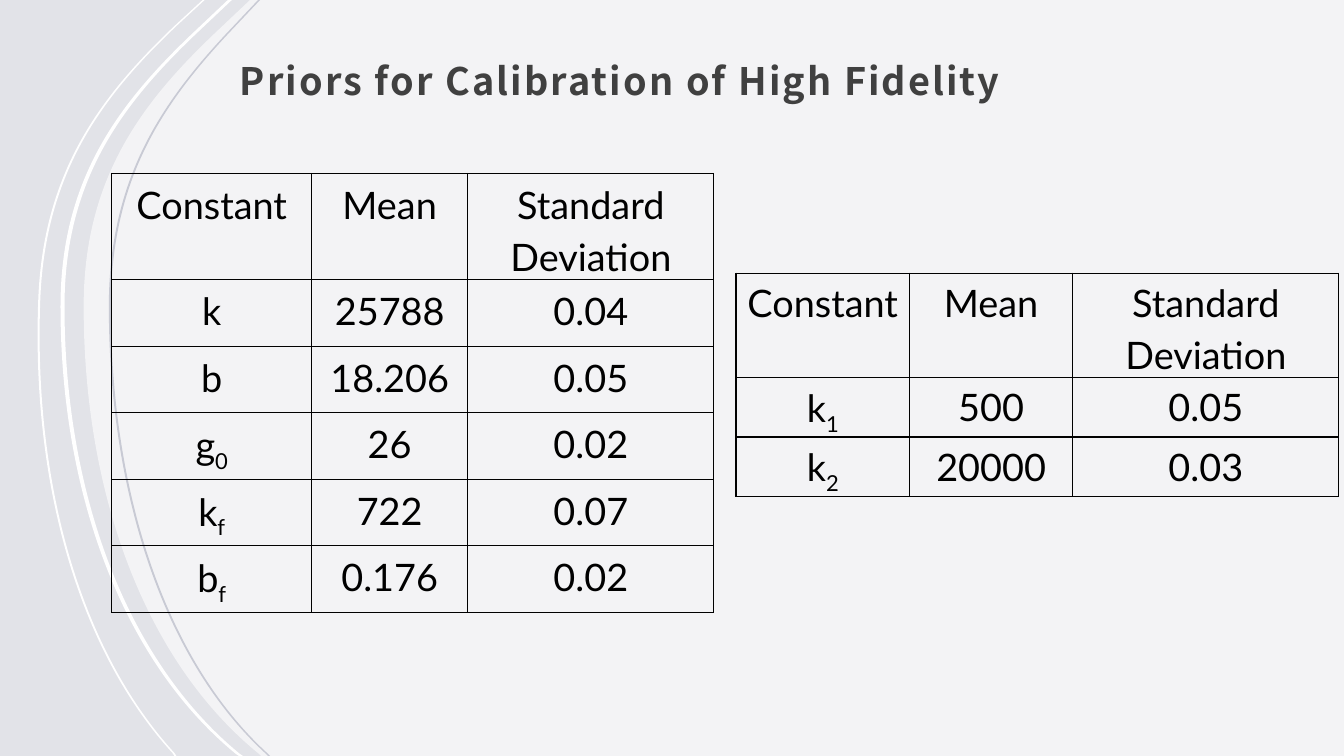
import pptx
import pptx.dml.color
import pptx.enum.text
import pptx.oxml
import pptx.oxml.ns
import pptx.util

Inches = pptx.util.Inches
Pt = pptx.util.Pt
RGBColor = pptx.dml.color.RGBColor

BACKGROUND = RGBColor(0xE2, 0xE3, 0xE8)
WHITE = RGBColor(0xFF, 0xFF, 0xFF)
GREY_BLUE = RGBColor(0xC8, 0xCA, 0xD4)
DARK_GREY = RGBColor(0x40, 0x40, 0x40)
BLACK = RGBColor(0, 0, 0)

SLIDE_WIDTH, SLIDE_HEIGHT = 13.33, 7.5
EDGE_CURVES = (2, 5)
RETURN_CURVES = (11, 14)
TITLE_FORMAT = {"name": "Noto Sans CJK JP", "size": Pt(27), "bold": True}
CELL_FORMAT = {"name": "Lato", "size": Pt(27), "bold": False}

PANEL_EDGE = [(2.48, 0), (2.11, 0.35), (1.39, 1.04), (0.83, 1.79), (0.83, 3.04),
              (0.83, 4.92), (1.45, 6.57), (2.57, 7.48), (2.59, 7.5)]
ARC_BANDS = [
    ([(2.01, 0), (1.75, 0.24), (1.02, 0.93), (0.43, 1.68), (0.38, 2.97),
      (0.31, 4.8), (0.78, 6.45), (1.71, 7.47), (1.73, 7.5)], 0.02, WHITE),
    ([(2.26, 0), (1.89, 0.35), (1.17, 1.04), (0.6, 1.79), (0.6, 3.04),
      (0.6, 4.92), (1.23, 6.57), (2.34, 7.48), (2.37, 7.5)], 0.04, WHITE),
    ([(2.56, 0), (2.23, 0.35), (1.59, 1.04), (1.08, 1.79), (1.08, 3.04),
      (1.08, 4.92), (1.64, 6.57), (2.64, 7.48), (2.66, 7.5)], 0.02, GREY_BLUE),
]

HEADER = ["Constant", "Mean", "Standard Deviation"]
MAIN_PRIORS = [HEADER, ["k", "25788", "0.04"], ["b", "18.206", "0.05"],
               [("g", "0"), "26", "0.02"], [("k", "f"), "722", "0.07"],
               [("b", "f"), "0.176", "0.02"]]
STIFFNESS_PRIORS = [HEADER, [("k", "1"), "500", "0.05"], [("k", "2"), "20000", "0.03"]]


def apply_format(target, values):
    """Set each named attribute on the target."""
    for name, value in values.items():
        setattr(target, name, value)


def bend_segments(shape, starts):
    """Turn each run of three line segments from a start into one cubic curve."""
    outline = shape._element.spPr.find(".//" + pptx.oxml.ns.qn("a:path"))
    segments = list(outline)
    for start in starts:
        curve = pptx.oxml.parse_xml(f'<a:cubicBezTo {pptx.oxml.ns.nsdecls("a")}/>')
        segments[start].addprevious(curve)
        for segment in segments[start:start + 3]:
            curve.append(segment[0])
            outline.remove(segment)


def add_outline(slide, points, curve_starts, color):
    """Draw a filled closed outline through points given in inches."""
    corners = [(Inches(x), Inches(y)) for x, y in points]
    builder = slide.shapes.build_freeform(*corners[0])
    builder.add_line_segments(corners[1:], close=True)
    shape = builder.convert_to_shape()
    bend_segments(shape, curve_starts)
    shape.shadow.inherit = False
    shape.fill.solid()
    shape.fill.fore_color.rgb = color
    shape.line.fill.background()
    return shape


def add_backdrop(slide, width, height):
    """Place the translucent panel and the arcs beside its edge."""
    slide.background.fill.solid()
    slide.background.fill.fore_color.rgb = BACKGROUND
    panel = add_outline(slide, PANEL_EDGE + [(width, height), (width, 0)], EDGE_CURVES, WHITE)
    color = panel._element.spPr.find(".//" + pptx.oxml.ns.qn("a:srgbClr"))
    color.append(pptx.oxml.parse_xml(
        f'<a:alpha {pptx.oxml.ns.nsdecls("a")} val="60000"/>'))
    for edge, thickness, band_color in ARC_BANDS:
        inner = [(x + thickness, y) for x, y in reversed(edge)]
        add_outline(slide, edge + inner, EDGE_CURVES + RETURN_CURVES, band_color)


def add_title(slide, text, left, top, width, height):
    """Place the slide title at the bottom of its box."""
    box = slide.shapes.add_textbox(Inches(left), Inches(top), Inches(width), Inches(height))
    apply_format(box.text_frame, {
        "word_wrap": True, "vertical_anchor": pptx.enum.text.MSO_ANCHOR.BOTTOM,
        "margin_left": Inches(0.12), "margin_right": Inches(0.12),
        "margin_top": Inches(0.12), "margin_bottom": Inches(0.1)})
    paragraph = box.text_frame.paragraphs[0]
    paragraph.line_spacing = 1.2
    run = paragraph.add_run()
    run.text = text
    apply_format(run.font, TITLE_FORMAT)
    run.font.color.rgb = DARK_GREY
    run._r.get_or_add_rPr().set("spc", "150")


def add_borders(cell):
    """Draw a thin black line on all four sides of a cell."""
    properties = cell._tc.get_or_add_tcPr()
    for position, side in enumerate(("lnL", "lnR", "lnT", "lnB")):
        properties.insert(position, pptx.oxml.parse_xml(
            f'<a:{side} {pptx.oxml.ns.nsdecls("a")} w="12700"><a:solidFill>'
            f'<a:srgbClr val="{BLACK}"/></a:solidFill></a:{side}>'))


def fill_cell(cell, content, side_margin, top_margin):
    """Write a cell; a pair is a symbol with its subscript."""
    apply_format(cell, {"margin_left": Inches(side_margin), "margin_right": Inches(side_margin),
                        "margin_top": Inches(top_margin), "margin_bottom": 0})
    cell.fill.background()
    add_borders(cell)
    paragraph = cell.text_frame.paragraphs[0]
    apply_format(paragraph, {"alignment": pptx.enum.text.PP_ALIGN.CENTER, "line_spacing": 1.15})
    parts = content if isinstance(content, tuple) else (content,)
    for position, part in enumerate(parts):
        run = paragraph.add_run()
        run.text = part
        apply_format(run.font, CELL_FORMAT)
        run.font.color.rgb = BLACK
        if position:
            run._r.get_or_add_rPr().set("baseline", "-25000")


def add_priors_table(slide, rows, box, widths, heights, margins):
    """Place a table of priors whose header row grows to fit its text."""
    header_height, body_height = heights
    frame = slide.shapes.add_table(len(rows), len(widths), *(Inches(length) for length in box))
    table = frame.table
    apply_format(table, {"first_row": False, "horz_banding": False})
    for column, width in zip(table.columns, widths):
        column.width = Inches(width)
    for row_index, contents in enumerate(rows):
        table.rows[row_index].height = Inches(body_height if row_index else header_height)
        for column_index, content in enumerate(contents):
            fill_cell(table.cell(row_index, column_index), content, *margins)
    frame.height = Inches(box[3])


def main():
    """Build and save the slide."""
    presentation = pptx.Presentation()
    apply_format(presentation, {"slide_width": Inches(SLIDE_WIDTH),
                                "slide_height": Inches(SLIDE_HEIGHT)})
    slide = presentation.slides.add_slide(presentation.slide_layouts[6])
    add_backdrop(slide, SLIDE_WIDTH, SLIDE_HEIGHT)
    add_title(slide, "Priors for Calibration of High Fidelity", 2.26, 0.4, 10.13, 0.72)
    add_priors_table(slide, MAIN_PRIORS, (1.11, 1.72, 5.97, 4.34),
                     (1.98, 1.55, 2.44), (0.66, 0.66), (0.17, 0.02))
    add_priors_table(slide, STIFFNESS_PRIORS, (7.3, 2.71, 5.98, 2.08),
                     (1.72, 1.62, 2.64), (0, 0.53), (0.07, 0))
    presentation.save("out.pptx")


if __name__ == "__main__":
    main()
